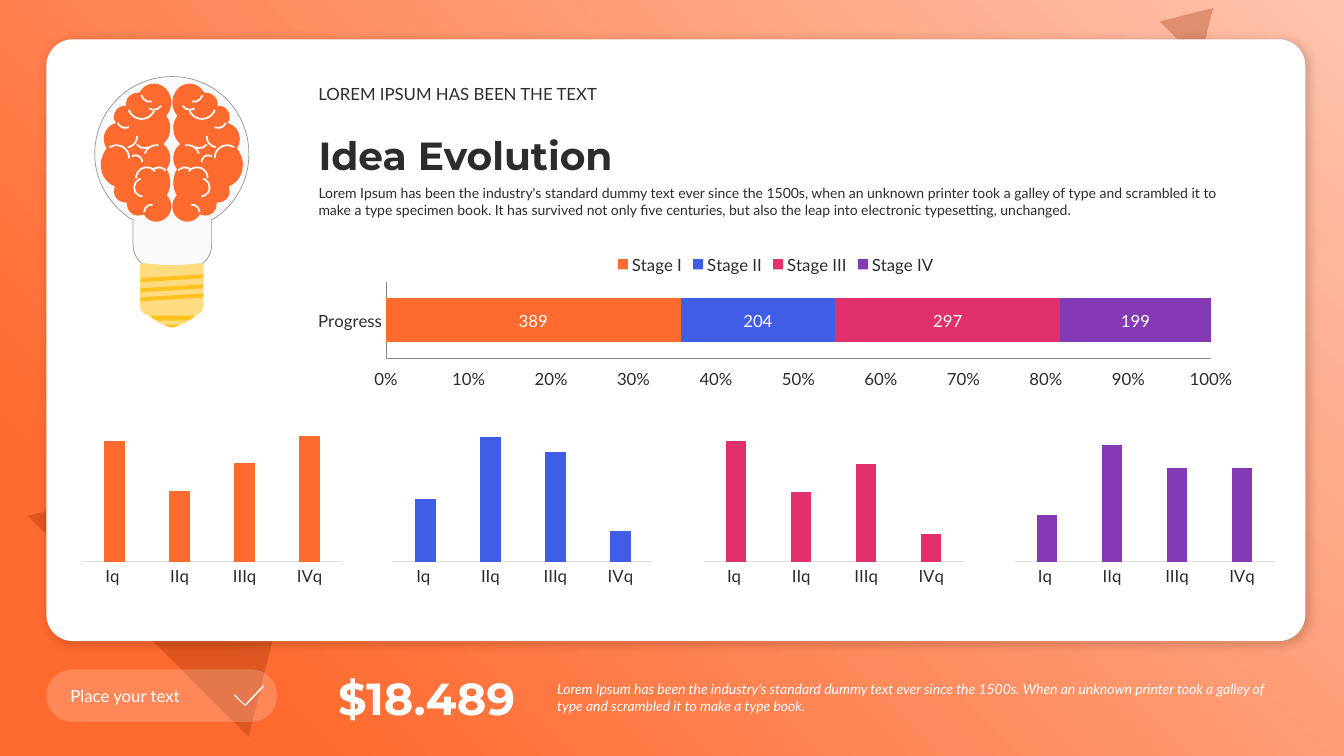
from lxml import etree
from pptx import Presentation
from pptx.chart.data import CategoryChartData
from pptx.dml.color import RGBColor
from pptx.enum.chart import XL_CHART_TYPE, XL_LEGEND_POSITION, XL_TICK_LABEL_POSITION, XL_TICK_MARK
from pptx.enum.shapes import MSO_SHAPE
from pptx.enum.text import MSO_ANCHOR, MSO_AUTO_SIZE, PP_ALIGN
from pptx.oxml import parse_xml
from pptx.oxml.ns import nsdecls, qn
from pptx.util import Inches, Pt

RECT, ROUND, TRIANGLE = MSO_SHAPE.RECTANGLE, MSO_SHAPE.ROUNDED_RECTANGLE, MSO_SHAPE.ISOSCELES_TRIANGLE
ARC, STRIPE = MSO_SHAPE.ARC, MSO_SHAPE.PARALLELOGRAM
COLUMNS, STACKED_BAR = XL_CHART_TYPE.COLUMN_CLUSTERED, XL_CHART_TYPE.BAR_STACKED_100
TOP, MIDDLE, BOTTOM = MSO_ANCHOR.TOP, MSO_ANCHOR.MIDDLE, MSO_ANCHOR.BOTTOM
LEFT, RIGHT = PP_ALIGN.LEFT, PP_ALIGN.RIGHT
NO_TICK = XL_TICK_MARK.NONE
SLIDE_WIDTH, SLIDE_HEIGHT = 40 / 3, 7.5

THEME = {
    "orange": "FF6A2F", "blue": "405DE6", "pink": "E1306C", "purple": "833AB4",
    "peach": "FFC3AC", "rust": "972B00", "white": "FFFFFF", "text": "2C2C2C",
    "axis": "DFDFDF", "glass": "FAFAFA", "glass_edge": "969696",
    "brass": "FFC220", "brass_light": "FFDC80",
    "body_font": "Lato", "title_font": "Montserrat",
    "small": 10, "normal": 12, "title": 28, "amount": 32,
}

KICKER = "LOREM IPSUM HAS BEEN THE TEXT"
TITLE = "Idea Evolution"
INTRO = ("Lorem Ipsum has been the industry's standard dummy text ever since the 1500s, when an unknown "
         "printer took a galley of type and scrambled it to make a type specimen book. It has survived not "
         "only five centuries, but also the leap into electronic typesetting, unchanged.")
BUTTON = "Place your text"
AMOUNT = "$18.489"
FOOTNOTE = ("Lorem Ipsum has been the industry's standard dummy text ever since the 1500s. When an unknown "
            "printer took a galley of type and scrambled it to make a type book.")

QUARTERS = ["Iq ", "IIq", "IIIq", "IVq"]
# stage, colour, total, values by quarter, top of the hidden value axis
STAGES = [
    ("Stage I", "orange", 389, (96, 56, 78, 100), 111.5),
    ("Stage II", "blue", 204, (50, 100, 88, 25), 112.5),
    ("Stage III", "pink", 297, (100, 58, 81, 23), 116),
    ("Stage IV", "purple", 199, (40, 100, 80, 80), 120),
]

# Outlines in inches: a pair is a straight step, six numbers are a Bézier step.
CHECK = [(2.62, 6.81), (2.61, 6.8), (2.43, 6.99), (2.33, 6.89), (2.32, 6.9), (2.43, 7), (2.44, 7)]
GLASS = [
    (1.71, .76), (2.13, .76, 2.47, 1.1, 2.47, 1.53), (2.47, 1.79, 2.34, 2.02, 2.14, 2.16), (2.1, 2.18),
    (2.1, 2.43), (2.1, 2.56, 2, 2.66, 1.88, 2.66), (1.54, 2.66), (1.42, 2.66, 1.32, 2.56, 1.32, 2.43),
    (1.32, 2.18), (1.28, 2.16), (1.08, 2.02, .94, 1.79, .94, 1.53), (.94, 1.1, 1.28, .76, 1.71, .76)]
BRAIN_HALF = [
    (1.53, .83), (1.62, .83, 1.7, .91, 1.7, 1.02), (1.7, 1.05, 1.69, 1.09, 1.67, 1.12), (1.65, 1.15),
    (1.68, 1.19, 1.69, 1.23, 1.69, 1.27), (1.69, 1.33, 1.67, 1.38, 1.63, 1.42), (1.62, 1.43), (1.63, 1.44),
    (1.67, 1.47, 1.69, 1.52, 1.69, 1.57), (1.69, 1.61, 1.68, 1.64, 1.66, 1.67), (1.65, 1.68), (1.66, 1.69),
    (1.68, 1.73, 1.69, 1.77, 1.69, 1.81), (1.69, 1.85, 1.68, 1.89, 1.66, 1.93), (1.65, 1.94), (1.66, 1.94),
    (1.68, 1.97, 1.7, 2, 1.7, 2.05), (1.7, 2.13, 1.63, 2.2, 1.55, 2.2), (1.5, 2.2, 1.45, 2.17, 1.43, 2.13),
    (1.42, 2.13), (1.4, 2.14, 1.39, 2.14, 1.37, 2.14), (1.31, 2.14, 1.26, 2.09, 1.26, 2.03), (1.26, 2.01),
    (1.25, 2.01), (1.18, 2.01, 1.13, 1.96, 1.13, 1.9), (1.13, 1.88, 1.13, 1.87, 1.14, 1.85), (1.1, 1.83),
    (1.04, 1.79, 1, 1.72, 1, 1.63), (1, 1.58, 1.02, 1.54, 1.04, 1.5), (1.06, 1.47), (1.05, 1.46),
    (1.04, 1.44, 1.03, 1.41, 1.03, 1.38), (1.03, 1.3, 1.08, 1.24, 1.15, 1.22), (1.16, 1.22), (1.14, 1.2),
    (1.13, 1.19, 1.13, 1.17, 1.13, 1.16), (1.13, 1.1, 1.18, 1.05, 1.23, 1.05), (1.25, 1.06), (1.25, 1.03),
    (1.25, .97, 1.3, .92, 1.37, .92), (1.38, .92), (1.39, .91), (1.42, .86, 1.47, .83, 1.53, .83)]
SOCKET = [
    (1.39, 2.63), (1.39, 2.62, 1.4, 2.61, 1.41, 2.61), (1.51, 2.62, 1.6, 2.63, 1.71, 2.63),
    (1.82, 2.63, 1.91, 2.62, 2, 2.61), (2.01, 2.61, 2.02, 2.62, 2.02, 2.63), (2.02, 3.04),
    (2.02, 3.05, 2.01, 3.06, 2, 3.06), (1.41, 3.06), (1.4, 3.06, 1.39, 3.05, 1.39, 3.04)]
# left, top, size, rotation, arc adjustments
FOLDS = [
    (1.44, .92, .17, 122.3, ()), (1.4, .84, .17, 167.1, ()), (1.27, .91, .27, 167.1, (130.12, 211.95)),
    (1.03, 1.44, .25, 167.1, (41.6, 117.24)), (1.28, 1.54, .13, 167.1, (41.6, 117.24)),
    (1.16, 1.1, .17, 156.5, ()), (1.49, 1.66, .17, 126.4, (63.03, 117.24)),
    (1.35, 1.66, .21, 126.4, (30.97, 117.24)), (1.43, 2.03, .15, 126.4, (30.97, 90.77)),
    (1.43, 1.44, .24, 158.8, (23.82, 72.33)), (1.33, 1.77, .18, 58.3, (21.7, 117.24)),
    (1.34, 1.29, .18, 21.9, (23.82, 72.33)), (1.15, 1.25, .21, 110.9, (147.33, 199.6))]
BRAIN_MIRROR = 3.41  # left x plus mirrored right x
SCREW_RINGS = [((1.6, 3.05, .21, .2), "brass"), ((1.53, 3.02, .36, .2), "brass_light"),
               ((1.46, 2.94, .5, .24), "brass"), ((1.39, 2.94, .63, .19), "brass_light")]
STRIPE_TOPS = (2.74, 2.84, 2.93)


def color(name):
    return RGBColor.from_string(THEME[name])


def paint(shape, fill=None, alpha=None, line=None, width=1):
    shape.shadow.inherit = False
    for part, name in ((shape.fill, fill), (shape.line.fill, line)):
        if name:
            part.solid()
            part.fore_color.rgb = color(name)
        else:
            part.background()
    if line:
        shape.line.width = Pt(width)
    if alpha:
        rgb = shape._element.spPr.find(qn("a:solidFill"))[0]
        etree.SubElement(rgb, qn("a:alpha")).set("val", str(alpha * 1000))
    return shape


def add_preset(shapes, kind, box, rotation=0, adjust=(), **look):
    shape = shapes.add_shape(kind, *map(Inches, box))
    shape.rotation = rotation
    for i, value in enumerate(adjust):
        shape.adjustments[i] = value
    return paint(shape, **look)


def add_outline(shapes, steps, mirror=None, **look):
    """Draw a closed outline: join the step ends, then bend the Bézier steps."""
    spots = [[(Inches(mirror - x if mirror else x), Inches(y)) for x, y in zip(step[::2], step[1::2])]
             for step in steps]
    ends = [step[-1] for step in spots]
    builder = shapes.build_freeform(*ends[0])
    builder.add_line_segments(ends[1:], close=True)
    shape = builder.convert_to_shape()
    left, top = (min(values) for values in zip(*ends))
    segments = list(next(shape._element.iter(qn("a:path"))))
    for segment, step in zip(segments, spots):
        if len(step) == 3:
            segment.getparent().replace(segment, parse_xml(
                f'<a:cubicBezTo {nsdecls("a")}>'
                + "".join(f'<a:pt x="{x - left}" y="{y - top}"/>' for x, y in step) + "</a:cubicBezTo>"))
    return paint(shape, **look)


def write(holder, box, text, anchor=TOP, align=LEFT, after=0, size="normal", name="text",
          face="body_font", **style):
    for side, inches in zip(("left", "top", "width", "height"), box):
        setattr(holder, side, Inches(inches))
    frame = holder.text_frame
    frame.text = text
    paragraph = frame.paragraphs[0]
    for target, values in (
        (frame, {"word_wrap": True, "auto_size": MSO_AUTO_SIZE.NONE, "vertical_anchor": anchor}),
        (paragraph, {"alignment": align, "space_before": Pt(0), "space_after": Pt(after)}),
        (paragraph.runs[0].font, {"size": Pt(THEME[size]), "name": THEME[face], **style}),
    ):
        for key, value in values.items():
            setattr(target, key, value)
    paragraph.runs[0].font.color.rgb = color(name)


def add_text(shapes, box, text, **format_values):
    write(shapes.add_textbox(*map(Inches, box)), box, text, **format_values)


def add_bars(shapes, kind, box, categories, series, plot_box, gap, overlap):
    """Add a bar chart; series holds (name, values, colour), plot_box is a share of the chart."""
    data = CategoryChartData()
    data.categories = categories
    for name, values, _ in series:
        data.add_series(name, values)
    chart = shapes.add_chart(kind, *map(Inches, box), data).chart
    chart.has_title = chart.has_legend = False
    chart.font.size, chart.font.name = Pt(THEME["normal"]), THEME["body_font"]
    chart.font.color.rgb = color("text")
    plot = chart.plots[0]
    plot.gap_width, plot.overlap, plot.vary_by_categories = gap, overlap, False
    for bars, (_, _, name) in zip(plot.series, series):
        bars.format.fill.solid()
        bars.format.fill.fore_color.rgb = color(name)
    for axis in (chart.category_axis, chart.value_axis):
        axis.has_major_gridlines = False
        axis.major_tick_mark = axis.minor_tick_mark = NO_TICK
    area = chart._chartSpace.chart.plotArea
    for old in area.findall(qn("c:layout")):
        area.remove(old)
    marks = [("layoutTarget", "inner"), ("xMode", "edge"), ("yMode", "edge"), *zip("xywh", plot_box)]
    inner = "".join(f'<c:{tag} val="{value}"/>' for tag, value in marks)
    area.insert(0, parse_xml(f'<c:layout {nsdecls("c")}><c:manualLayout>{inner}</c:manualLayout></c:layout>'))
    return chart


def draw_backdrop(shapes):
    backdrop = add_preset(shapes, RECT, (0, 0, SLIDE_WIDTH, SLIDE_HEIGHT), fill="orange")
    props = backdrop._element.spPr
    props.replace(props.find(qn("a:solidFill")), parse_xml(
        f'<a:gradFill {nsdecls("a")} rotWithShape="1"><a:gsLst>'
        f'<a:gs pos="0"><a:srgbClr val="{THEME["peach"]}"/></a:gs>'
        f'<a:gs pos="85000"><a:srgbClr val="{THEME["orange"]}"/></a:gs></a:gsLst>'
        '<a:path path="circle"><a:fillToRect l="100000" b="100000"/></a:path></a:gradFill>'))
    for box in ((.73, 4.02, 3.1, 2.57), (11.59, .01, .56, .47)):
        add_preset(shapes, TRIANGLE, box, 45, fill="rust", alpha=30)
    card = add_preset(shapes, ROUND, (.46, .39, 12.49, 5.97), adjust=[.044], fill="white")
    card._element.spPr.find(qn("a:effectLst")).append(parse_xml(
        f'<a:outerShdw {nsdecls("a")} blurRad="{Pt(8)}" dist="{Pt(3)}" dir="2700000" algn="tl" '
        'rotWithShape="0"><a:srgbClr val="000000"><a:alpha val="20000"/></a:srgbClr></a:outerShdw>'))


def draw_bulb(shapes):
    add_outline(shapes, GLASS, fill="glass", line="glass_edge", width=.5)
    for mirror in (None, BRAIN_MIRROR):
        add_outline(shapes, BRAIN_HALF, mirror, fill="orange")
        for left, top, size, turn, adjust in FOLDS:
            if mirror:
                left, turn = mirror - left - size, 360 - turn
            fold = add_preset(shapes, ARC, (left, top, size, size), turn, adjust, line="white", width=1.25)
            if mirror:
                fold._element.spPr.xfrm.set("flipH", "1")
    for box, name in SCREW_RINGS:
        add_preset(shapes, ROUND, box, adjust=[.5], fill=name)
    add_outline(shapes, SOCKET, fill="brass_light")
    for top in STRIPE_TOPS:
        add_preset(shapes, STRIPE, (1.39, top, .63, .04), 356.4, [.31], fill="brass")


def draw_charts(shapes):
    for i, (_, name, _, values, ceiling) in enumerate(STAGES):
        chart = add_bars(shapes, COLUMNS, (.75 + i * 9.25 / 3, 3.97, 2.71, 2.2), QUARTERS,
                         [("Series 1", values, name)], (.024, .095, .952, .635), 219, -27)
        chart.value_axis.visible = False
        chart.value_axis.minimum_scale, chart.value_axis.maximum_scale = 0, ceiling
        chart.category_axis.format.line.color.rgb = color("axis")
        chart.category_axis.format.line.width = Pt(.75)
    progress = add_bars(shapes, STACKED_BAR, (2.97, 2.41, 9.45, 1.47), ["Progress"],
                        [(stage, [total], name) for stage, name, total, *_ in STAGES],
                        (.091, .262, .866, .52), 75, 100)
    progress.has_legend = True
    progress.legend.position, progress.legend.include_in_layout = XL_LEGEND_POSITION.TOP, False
    ticks = progress.value_axis.tick_labels
    ticks.number_format, ticks.number_format_is_linked = "0%", False
    progress.value_axis.tick_label_position = XL_TICK_LABEL_POSITION.LOW
    for bars in progress.plots[0].series:
        bars.data_labels.show_value = True
        bars.data_labels.font.color.rgb = color("white")


def main():
    deck = Presentation()
    deck.slide_width, deck.slide_height = Inches(SLIDE_WIDTH), Inches(SLIDE_HEIGHT)
    slide = deck.slides.add_slide(deck.slide_layouts[1])
    shapes = slide.shapes
    title, intro = shapes.title, slide.placeholders[1]
    draw_backdrop(shapes)

    button = shapes.add_group_shape().shapes
    add_preset(button, ROUND, (.46, 6.64, 2.29, .52), adjust=[.5], fill="white", alpha=20)
    add_outline(button, CHECK, fill="white")
    add_text(button, (.6, 6.75, 1.88, .3), BUTTON, anchor=MIDDLE, name="white")
    add_text(shapes, (3.19, 6.6, 2.02, .64), AMOUNT, anchor=MIDDLE, align=RIGHT, size="amount",
             name="white", face="title_font", bold=True)
    add_text(shapes, (5.43, 6.7, 7.33, .44), FOOTNOTE, anchor=MIDDLE, after=6, size="small",
             name="white", italic=True)
    draw_bulb(shapes.add_group_shape().shapes)

    write(intro, (3.06, 1.78, 9.35, .44), INTRO, after=6, size="small")
    bullet = intro.text_frame.paragraphs[0]._p.get_or_add_pPr()
    bullet.set("marL", "0")
    bullet.set("indent", "0")
    etree.SubElement(bullet, qn("a:buNone"))
    write(title, (3.06, 1.25, 9.35, .57), TITLE, anchor=BOTTOM, size="title", face="title_font", bold=True)
    for holder in (intro, title):  # bring in front of the card
        shapes._spTree.append(holder._element)
    add_text(shapes, (3.06, .78, 9.35, .3), KICKER, anchor=BOTTOM)
    draw_charts(shapes)
    deck.save("out.pptx")


if __name__ == "__main__":
    main()
